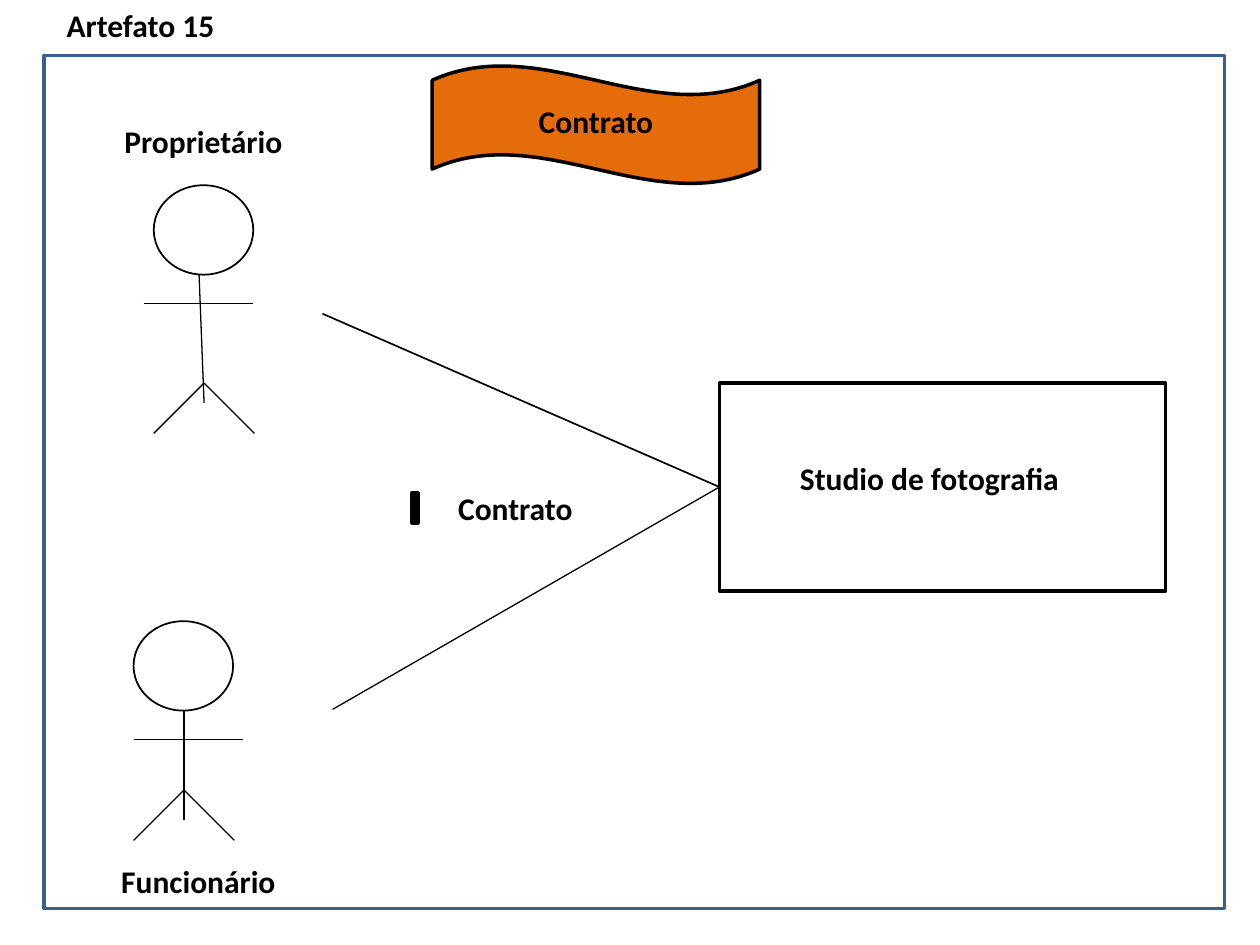
"""Builds a contract diagram: two actors linked to a photo studio."""
from dataclasses import dataclass

from lxml import etree
from pptx import Presentation
from pptx import util as u
from pptx.dml.color import RGBColor
from pptx.enum import shapes, text
from pptx.oxml.ns import qn


@dataclass(frozen=True)
class Theme:
    """Colours, font and sizes of the slide."""
    ink: str = "000000"
    frame: str = "3A5F8C"
    banner: str = "E46C0A"
    font: str = "Calibri"
    size: float = 18
    label_h: float = 0.4
    thin: float = 0.75
    medium: float = 1
    thick: float = 2


T = Theme()
KIND = shapes.MSO_SHAPE
ALIGN = text.PP_ALIGN


def add_text(s, words, x, y, w, align=ALIGN.CENTER, size=T.size, color=T.ink, bold=True):
    """Adds a one-line label."""
    tf = s.shapes.add_textbox(*map(u.Inches, (x, y, w, T.label_h))).text_frame
    tf.word_wrap = True
    p = tf.paragraphs[0]
    p.alignment = align
    r = p.add_run()
    r.text = words
    r.font.name, r.font.size, r.font.bold = T.font, u.Pt(size), bold
    r.font.color.rgb = RGBColor.from_string(color)


def add_box(s, kind, x, y, w, h, line=T.ink, width=T.thick, fill=None):
    """Adds an outlined preset shape with an optional fill."""
    sp = s.shapes.add_shape(kind, *map(u.Inches, (x, y, w, h)))
    sp.shadow.inherit = False
    if fill:
        sp.fill.solid()
        sp.fill.fore_color.rgb = RGBColor.from_string(fill)
    else:
        sp.fill.background()
    sp.line.color.rgb = RGBColor.from_string(line)
    sp.line.width = u.Pt(width)


def add_line(s, x1, y1, x2, y2, width=T.thin):
    """Adds a straight line without a shadow."""
    c = s.shapes.add_connector(shapes.MSO_CONNECTOR.STRAIGHT,
                               *map(u.Inches, (x1, y1, x2, y2)))
    c.line.color.rgb = RGBColor.from_string(T.ink)
    c.line.width = u.Pt(width)
    etree.SubElement(c._element.spPr, qn("a:effectLst"))


def add_actor(s, x, y, hip, tail, arm_shift=0, lean=0):
    """Adds a stick figure whose head starts at x, y."""
    head_w, head_h, leg = 0.79, 0.71, 0.4
    mid, arm_x, arm_y, hip_y = x + leg, x + arm_shift, y + 0.94, y + hip
    add_box(s, KIND.OVAL, x, y, head_w, head_h, width=T.medium)
    add_line(s, mid - lean, y + head_h, mid, hip_y + tail)
    add_line(s, arm_x, arm_y, arm_x + 0.87, arm_y)
    for side in (-1, 1):
        add_line(s, mid, hip_y, mid + side * leg, hip_y + leg)


def add_banner(s, x, y, w, h):
    """Adds the wave with its title."""
    add_box(s, KIND.WAVE, x, y, w, h, fill=T.banner)
    add_text(s, "Contrato", x, y + 0.24, w)


def add_studio(s, x, y, w, h):
    """Adds the studio box and the two lines that meet at its left side."""
    add_box(s, KIND.RECTANGLE, x, y, w, h)
    add_text(s, "Studio de fotografia ", x + 0.08, y + 0.55, 3.23)
    meet = y + h / 2
    add_line(s, 2.56, 2.49, x, meet, width=0.95)
    add_line(s, 2.64, 5.63, x, meet)


def add_contract_label(s, x, y, w):
    """Adds the link label with its marker."""
    add_box(s, KIND.RECTANGLE, x + 0.32, y + 0.08, 0.05, 0.24, fill=T.ink)
    add_text(s, "Contrato", x, y, w)


def build():
    """Builds and saves the slide."""
    prs = Presentation()
    prs.slide_width, prs.slide_height = u.Inches(10), u.Inches(7.5)
    s = prs.slides.add_slide(prs.slide_layouts[6])
    add_box(s, KIND.RECTANGLE, 0.35, 0.44, 9.37, 6.77, line=T.frame)
    add_actor(s, 1.22, 1.47, hip=1.57, tail=0.16, arm_shift=-0.08, lean=0.04)
    add_text(s, "Proprietário", 0.83, 0.92, 1.57)
    add_studio(s, 5.71, 3.04, 3.54, 1.65)
    add_contract_label(s, 2.95, 3.83, 2.28)
    add_actor(s, 1.06, 4.93, hip=1.34, tail=0.24)
    add_text(s, "Funcionário", 0.67, 6.79, 1.81)
    add_banner(s, 3.43, 0.52, 2.6, 0.94)
    add_text(s, "Artefato 15", 0.43, 0, 2.28, align=ALIGN.LEFT)
    prs.save("out.pptx")


build()
